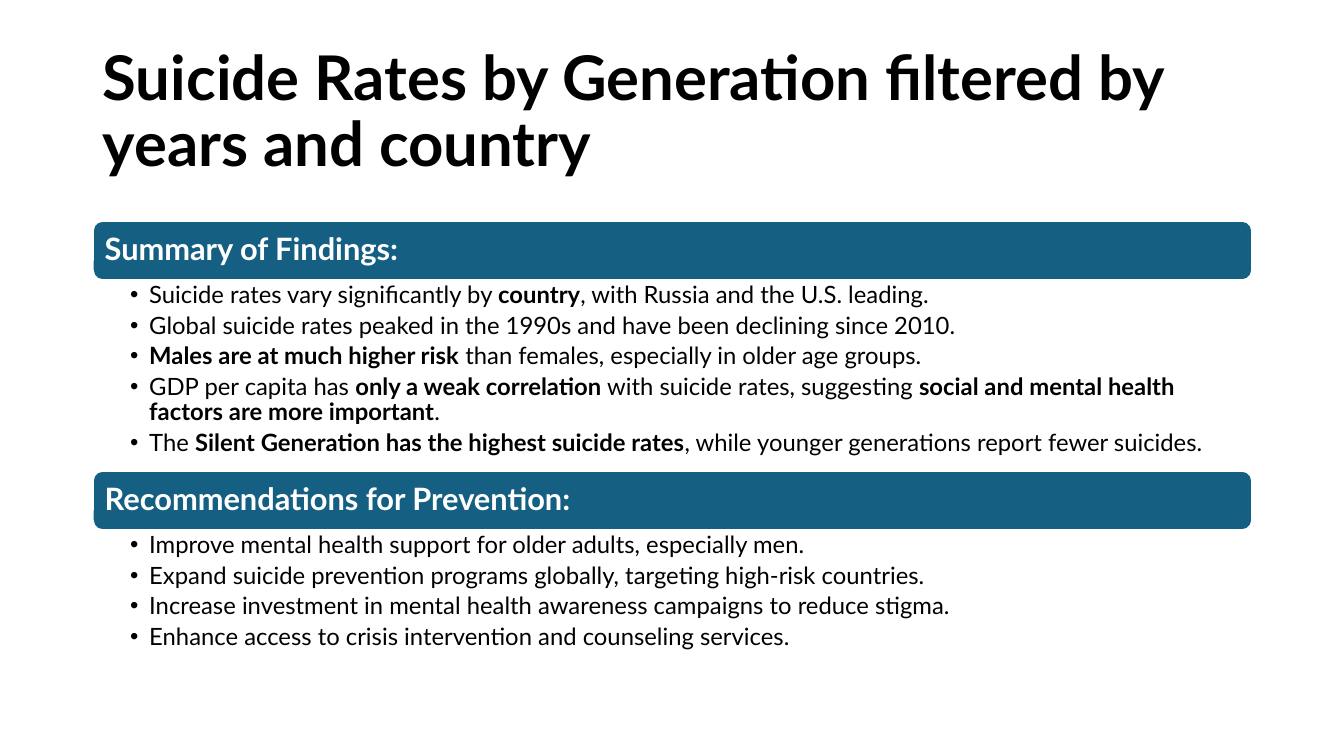
import dataclasses

import lxml.etree
import pptx
import pptx.dml.color
import pptx.enum.shapes
import pptx.enum.text
import pptx.oxml.ns
import pptx.util

Inches = pptx.util.Inches
Anchor = pptx.enum.text.MSO_ANCHOR


@dataclasses.dataclass(frozen=True)
class Theme:
    font: str = "Lato"
    ink: str = "000000"
    paper: str = "FFFFFF"
    banner: str = "156082"
    title_size: int = 44
    heading_size: int = 22
    bullet_size: int = 17
    line_spacing: float = 0.9
    heading_gap: float = 0.35
    bullet_gap: float = 0.2
    bullet_indent: float = 0.19


THEME = Theme()
SLIDE_WIDTH, SLIDE_HEIGHT = 13.33, 7.5
LEFT, CONTENT_WIDTH = 0.92, 11.5
TITLE_TOP, TITLE_HEIGHT = 0.4, 1.45
SECTIONS_TOP, BANNER_HEIGHT = 2.19, 0.59

TITLE = "Suicide Rates by Generation filtered by years and country"
# Each section: heading, height of its list, bullets with bold parts between ** marks
SECTIONS = [
    ("Summary of Findings:", 1.89, [
        "Suicide rates vary significantly by **country**, with Russia and the U.S. leading.",
        "Global suicide rates peaked in the 1990s and have been declining since 2010.",
        "**Males are at much higher risk** than females, especially in older age groups.",
        "GDP per capita has **only a weak correlation** with suicide rates, suggesting "
        "**social and mental health factors are more important**.",
        "The **Silent Generation has the highest suicide rates**, while younger generations "
        "report fewer suicides.",
    ]),
    ("Recommendations for Prevention:", 1.29, [
        "Improve mental health support for older adults, especially men.",
        "Expand suicide prevention programs globally, targeting high-risk countries.",
        "Increase investment in mental health awareness campaigns to reduce stigma.",
        "Enhance access to crisis intervention and counseling services.",
    ]),
]


def color(value):
    return pptx.dml.color.RGBColor.from_string(value)


def set_attributes(target, values):
    for name, value in values.items():
        setattr(target, name, value)


def set_frame(frame, anchor, insets):
    """Insets are left, top, right, bottom in inches."""
    sides = ("margin_left", "margin_top", "margin_right", "margin_bottom")
    set_attributes(frame, {"word_wrap": True, "vertical_anchor": anchor,
                           **dict(zip(sides, map(Inches, insets)))})


def write_paragraph(paragraph, text, size, ink, gap=0):
    """Write text, making the parts between ** marks bold; gap is a share of the type size."""
    set_attributes(paragraph, {
        "alignment": pptx.enum.text.PP_ALIGN.LEFT,
        "line_spacing": THEME.line_spacing,
        "space_after": pptx.util.Pt(size * gap),
    })
    for index, part in enumerate(text.split("**")):
        if part:
            run = paragraph.add_run()
            run.text = part
            set_attributes(run.font, {"name": THEME.font, "size": pptx.util.Pt(size),
                                      "bold": index % 2 == 1})
            run.font.color.rgb = color(ink)


def add_bullet(paragraph):
    properties = paragraph._p.get_or_add_pPr()
    indent = Inches(THEME.bullet_indent)
    properties.set("marL", str(indent))
    properties.set("indent", str(-indent))
    for tag, name, value in (("a:buFont", "typeface", "Arial"), ("a:buChar", "char", "•")):
        element = lxml.etree.SubElement(properties, pptx.oxml.ns.qn(tag))
        element.set(name, value)


def add_title(slide, left, top, width, height):
    frame = slide.shapes.add_textbox(*map(Inches, (left, top, width, height))).text_frame
    set_frame(frame, Anchor.MIDDLE, (0.1, 0.05, 0.1, 0.05))
    write_paragraph(frame.paragraphs[0], f"**{TITLE}**", THEME.title_size, THEME.ink)


def add_banner(slide, heading, left, top, width, height):
    banner = slide.shapes.add_shape(pptx.enum.shapes.MSO_SHAPE.ROUNDED_RECTANGLE,
                                    *map(Inches, (left, top, width, height)))
    banner.shadow.inherit = False
    banner.fill.solid()
    banner.fill.fore_color.rgb = color(THEME.banner)
    banner.line.color.rgb = color(THEME.paper)
    banner.line.width = pptx.util.Pt(1.5)
    set_frame(banner.text_frame, Anchor.MIDDLE, (0.09,) * 4)
    write_paragraph(banner.text_frame.paragraphs[0], f"**{heading}**",
                    THEME.heading_size, THEME.paper, THEME.heading_gap)


def add_bullet_list(slide, bullets, left, top, width, height):
    frame = slide.shapes.add_textbox(*map(Inches, (left, top, width, height))).text_frame
    set_frame(frame, Anchor.TOP, (0.37, 0.03, 0.17, 0.03))
    for index, bullet in enumerate(bullets):
        paragraph = frame.add_paragraph() if index else frame.paragraphs[0]
        write_paragraph(paragraph, bullet, THEME.bullet_size, THEME.ink, THEME.bullet_gap)
        add_bullet(paragraph)


def add_sections(slide, left, top, width):
    """Stack each banner and its list downwards from top."""
    for heading, list_height, bullets in SECTIONS:
        add_banner(slide, heading, left, top, width, BANNER_HEIGHT)
        top += BANNER_HEIGHT
        add_bullet_list(slide, bullets, left, top, width, list_height)
        top += list_height


def main():
    presentation = pptx.Presentation()
    set_attributes(presentation, {"slide_width": Inches(SLIDE_WIDTH),
                                  "slide_height": Inches(SLIDE_HEIGHT)})
    slide = presentation.slides.add_slide(presentation.slide_layouts[6])
    add_title(slide, LEFT, TITLE_TOP, CONTENT_WIDTH, TITLE_HEIGHT)
    add_sections(slide, LEFT, SECTIONS_TOP, CONTENT_WIDTH)
    presentation.save("out.pptx")


if __name__ == "__main__":
    main()
